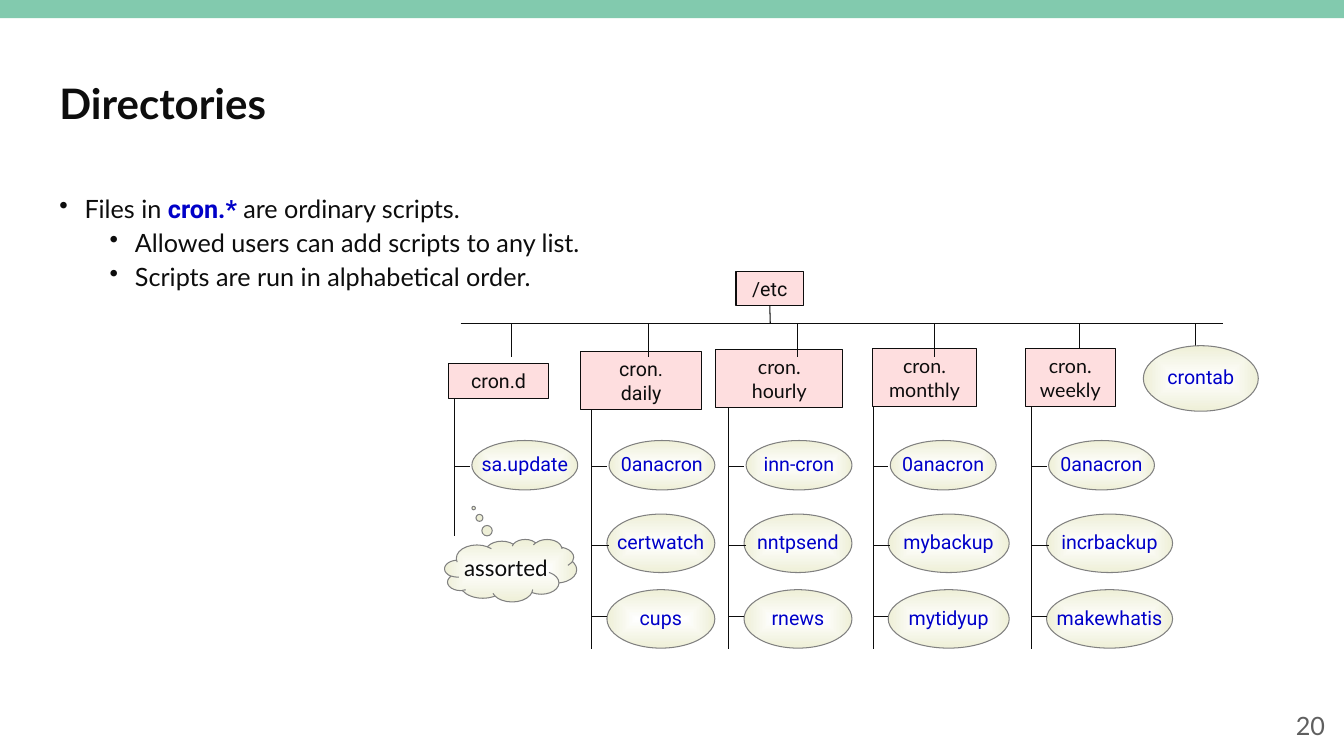
from dataclasses import dataclass

from lxml.etree import SubElement
from pptx import Presentation
from pptx.dml.color import RGBColor
from pptx.enum.shapes import MSO_CONNECTOR, MSO_SHAPE
from pptx.enum.text import MSO_ANCHOR, MSO_AUTO_SIZE, PP_ALIGN
from pptx.oxml import parse_xml
from pptx.oxml.ns import nsdecls, qn
from pptx.util import Inches, Pt


@dataclass(frozen=True)
class Theme:
    """Colours, fonts and type sizes of the slide."""
    ink: str = "0D0D0D"
    code: str = "0000C8"
    band: str = "82CAAE"
    folder: str = "FEDEDF"
    file_centre: str = "FFFFFF"
    file_edge: str = "EEEFD7"
    file_line: str = "808080"
    page: str = "5F5F5F"
    text_font: str = "Lato"
    code_font: str = "Roboto"
    title_size: int = 30
    body_size: int = 18
    cloud_size: int = 16
    label_size: int = 14
    line_width: float = 0.75


@dataclass(frozen=True)
class Folder:
    """A directory box with the trunk and the files below it."""
    name: str
    box: tuple
    font: str
    wraps: bool
    drop_x: float
    trunk_x: float
    trunk_end: float
    file_width: float
    files: tuple
    drop_end: float = 3.54


@dataclass(frozen=True)
class FileRow:
    """The shared places of the files on one row."""
    top: float
    height: float
    branch_y: float
    gap: float
    branch_length: float


THEME = Theme()
BUS_Y = 3.21
TRUNK_TOP = 3.95
FIRST_FILE_WIDTH = 1.05
FILE_ROWS = (
    FileRow(4.37, 0.49, 4.63, 0.17, 0.15),
    FileRow(5.1, 0.58, 5.41, 0.15, 0.17),
    FileRow(5.85, 0.58, 6.12, 0.15, 0.15),
)
FOLDERS = (
    Folder("cron.d", (4.45, 3.61, 0.99, 0.34), THEME.code_font, True,
           5.07, 4.51, 5.32, 1.05, ("sa.update",)),
    Folder("cron.\ndaily", (5.76, 3.49, 1.2, 0.57), THEME.code_font, True,
           6.43, 5.87, 6.44, 1.07, ("0anacron", "certwatch", "cups")),
    Folder("cron.\nhourly", (7.1, 3.47, 1.26, 0.57), THEME.text_font, True,
           7.91, 7.23, 6.44, 1.07, ("inn-cron", "nntpsend", "rnews")),
    Folder("cron.\nmonthly", (8.65, 3.46, 1.04, 0.57), THEME.text_font, False,
           9.27, 8.66, 6.44, 1.2, ("0anacron", "mybackup", "mytidyup")),
    Folder("cron.\nweekly", (10.17, 3.46, 0.89, 0.57), THEME.text_font, False,
           10.71, 10.23, 6.44, 1.25, ("0anacron", "incrbackup", "makewhatis"), 3.46),
)


def style_run(run, size, color, font, bold=False):
    """Set the size, colour, typeface and weight of a run."""
    run.font.size = Pt(size)
    run.font.color.rgb = RGBColor.from_string(color)
    run.font.name = font
    run.font.bold = bold


def fill_text(frame, text, size, color, font, align=PP_ALIGN.CENTER, bold=False, spacing=None):
    """Put vertically centred text in a frame, one paragraph a line."""
    frame.text = text
    frame.vertical_anchor = MSO_ANCHOR.MIDDLE
    for paragraph in frame.paragraphs:
        paragraph.alignment = align
        paragraph.line_spacing = spacing
        style_run(paragraph.runs[0], size, color, font, bold)


def add_text(slide, box, text, size, color, align=PP_ALIGN.LEFT, bold=False):
    """Add a wrapping text box with one line."""
    frame = slide.shapes.add_textbox(*map(Inches, box)).text_frame
    frame.word_wrap = True
    fill_text(frame, text, size, color, THEME.text_font, align, bold)


def add_panel(slide, kind, box, fill, line=None):
    """Add a flat shape with a solid fill."""
    panel = slide.shapes.add_shape(kind, *map(Inches, box))
    panel.shadow.inherit = False
    panel.fill.solid()
    panel.fill.fore_color.rgb = RGBColor.from_string(fill)
    if line:
        panel.line.color.rgb = RGBColor.from_string(line)
        panel.line.width = Pt(THEME.line_width)
    else:
        panel.line.fill.background()
    return panel


def add_folder_box(slide, box, name, font, wraps):
    """Add a directory box."""
    folder_box = add_panel(slide, MSO_SHAPE.RECTANGLE, box, THEME.folder, THEME.ink)
    frame = folder_box.text_frame
    frame.word_wrap = wraps
    frame.auto_size = MSO_AUTO_SIZE.SHAPE_TO_FIT_TEXT
    fill_text(frame, name, THEME.label_size, THEME.ink, font)
    return folder_box


def add_file(slide, box, name, kind=MSO_SHAPE.OVAL, size=THEME.label_size,
             color=THEME.code, font=THEME.code_font):
    """Add a file shape shaded from its centre outwards."""
    file_shape = add_panel(slide, kind, box, THEME.file_edge, THEME.file_line)
    properties = file_shape._element.spPr
    properties.replace(properties.find(qn("a:solidFill")), parse_xml(
        f'<a:gradFill {nsdecls("a")} rotWithShape="1"><a:gsLst>'
        f'<a:gs pos="0"><a:srgbClr val="{THEME.file_centre}"/></a:gs>'
        f'<a:gs pos="100000"><a:srgbClr val="{THEME.file_edge}"/></a:gs></a:gsLst>'
        '<a:path path="shape"><a:fillToRect l="50000" t="50000" r="50000" b="50000"/>'
        '</a:path></a:gradFill>'))
    file_shape.text_frame.word_wrap = False
    fill_text(file_shape.text_frame, name, size, color, font, spacing=0.9)
    return file_shape


def add_line(slide, x1, y1, x2, y2):
    """Add a thin straight line."""
    line = slide.shapes.add_connector(MSO_CONNECTOR.STRAIGHT, *map(Inches, (x1, y1, x2, y2)))
    line.line.color.rgb = RGBColor.from_string(THEME.ink)
    line.line.width = Pt(THEME.line_width)
    SubElement(line._element.spPr, qn("a:effectLst"))
    return line


def add_bullets(slide, box, bullets):
    """Add bullets given as a level and a list of text and is-code pairs."""
    frame = slide.shapes.add_textbox(*map(Inches, box)).text_frame
    frame.word_wrap = True
    for index, (level, parts) in enumerate(bullets):
        paragraph = frame.add_paragraph() if index else frame.paragraphs[0]
        properties = paragraph._p.get_or_add_pPr()
        properties.set("marL", str(Inches(0.25 + 0.5 * level)))
        properties.set("indent", str(Inches(-0.25)))
        SubElement(properties, qn("a:buChar"), char="•")
        paragraph.level = level
        paragraph.line_spacing = 0.9
        paragraph.space_before = Pt(5 if index else 0)
        for text, is_code in parts:
            run = paragraph.add_run()
            run.text = text
            style_run(run, THEME.body_size, THEME.code if is_code else THEME.ink,
                      THEME.code_font if is_code else THEME.text_font, is_code)


def add_folder(slide, folder):
    """Add a directory with its trunk, its drop from the bus and its files."""
    add_line(slide, folder.trunk_x, TRUNK_TOP, folder.trunk_x, folder.trunk_end)
    add_folder_box(slide, folder.box, folder.name, folder.font, folder.wraps)
    add_line(slide, folder.drop_x, BUS_Y, folder.drop_x, folder.drop_end)
    for index, (name, row) in enumerate(zip(folder.files, FILE_ROWS)):
        width = folder.file_width if index else FIRST_FILE_WIDTH
        add_file(slide, (folder.trunk_x + row.gap, row.top, width, row.height), name)
        add_line(slide, folder.trunk_x, row.branch_y,
                 folder.trunk_x + row.branch_length, row.branch_y)


def main():
    """Build the slide and save it."""
    deck = Presentation()
    deck.slide_width, deck.slide_height = Inches(13.33), Inches(7.5)
    slide = deck.slides.add_slide(deck.slide_layouts[6])
    add_panel(slide, MSO_SHAPE.RECTANGLE, (0, 0, 13.33, 0.18), THEME.band)
    add_text(slide, (0.49, 0.55, 12.36, 0.94), "Directories", THEME.title_size, THEME.ink, bold=True)
    add_bullets(slide, (0.49, 1.9, 12.36, 4.76), (
        (0, (("Files in ", False), ("cron.* ", True), ("are ordinary scripts.", False))),
        (1, (("Allowed users can add scripts to any list.", False),)),
        (1, (("Scripts are run in alphabetical order.", False),)),
    ))
    add_text(slide, (10.24, 7, 3, 0.4), "20", THEME.body_size, THEME.page, PP_ALIGN.RIGHT)
    add_line(slide, 4.57, BUS_Y, 12.13, BUS_Y)
    etc = add_folder_box(slide, (7.3, 2.69, 0.67, 0.34), "/etc", THEME.code_font, False)
    add_line(slide, 7.64, 3.03, 7.64, BUS_Y).begin_connect(etc, 2)
    for folder in FOLDERS:
        add_folder(slide, folder)
    add_line(slide, 11.86, BUS_Y, 11.86, 3.43)
    add_file(slide, (11.34, 3.43, 1.14, 0.65), "crontab")
    assorted = add_file(slide, (4.41, 5.35, 1.31, 0.62), "assorted", MSO_SHAPE.CLOUD_CALLOUT,
                        THEME.cloud_size, THEME.ink, THEME.text_font)
    assorted.adjustments[0], assorted.adjustments[1] = -0.28, -1
    deck.save("out.pptx")


if __name__ == "__main__":
    main()
